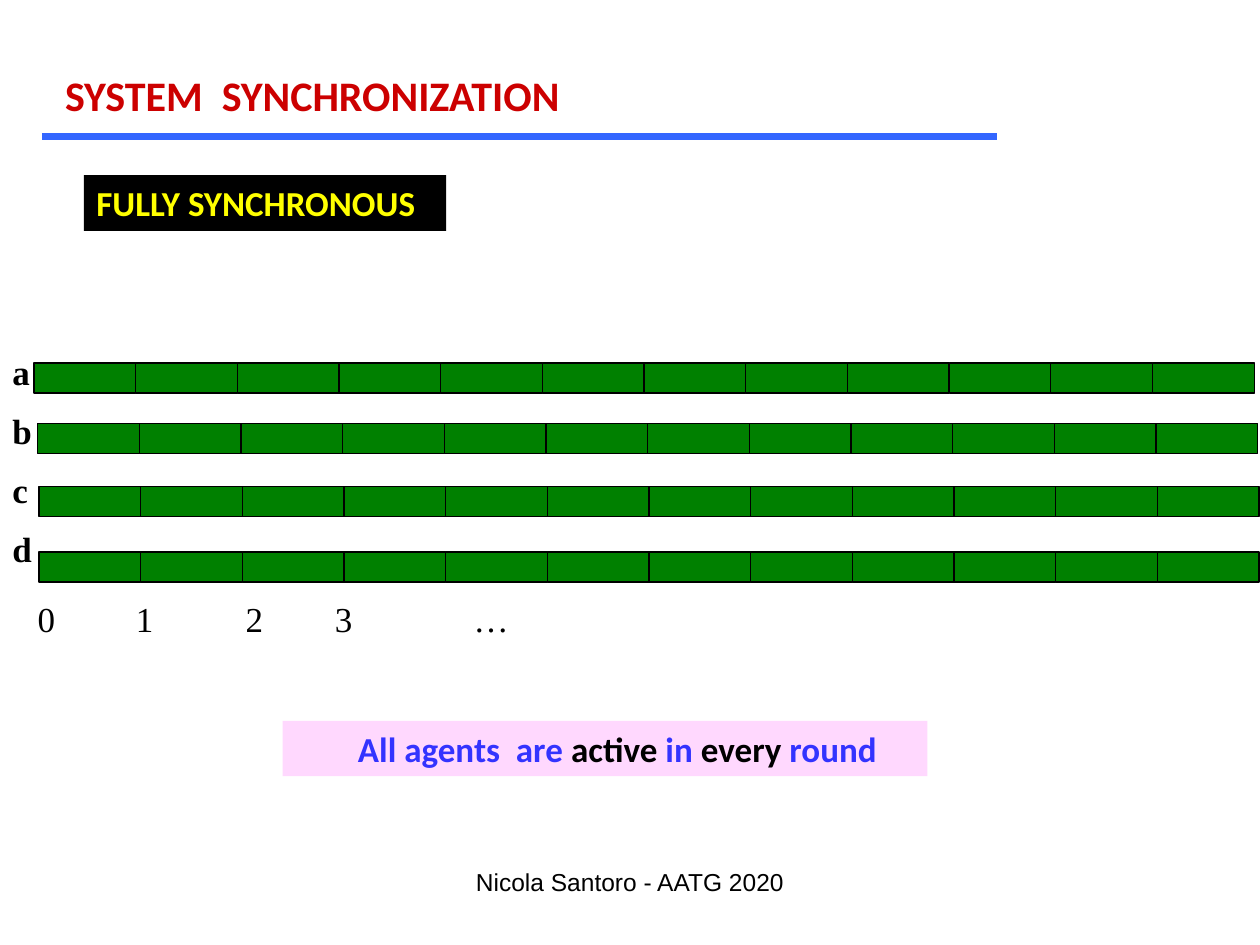
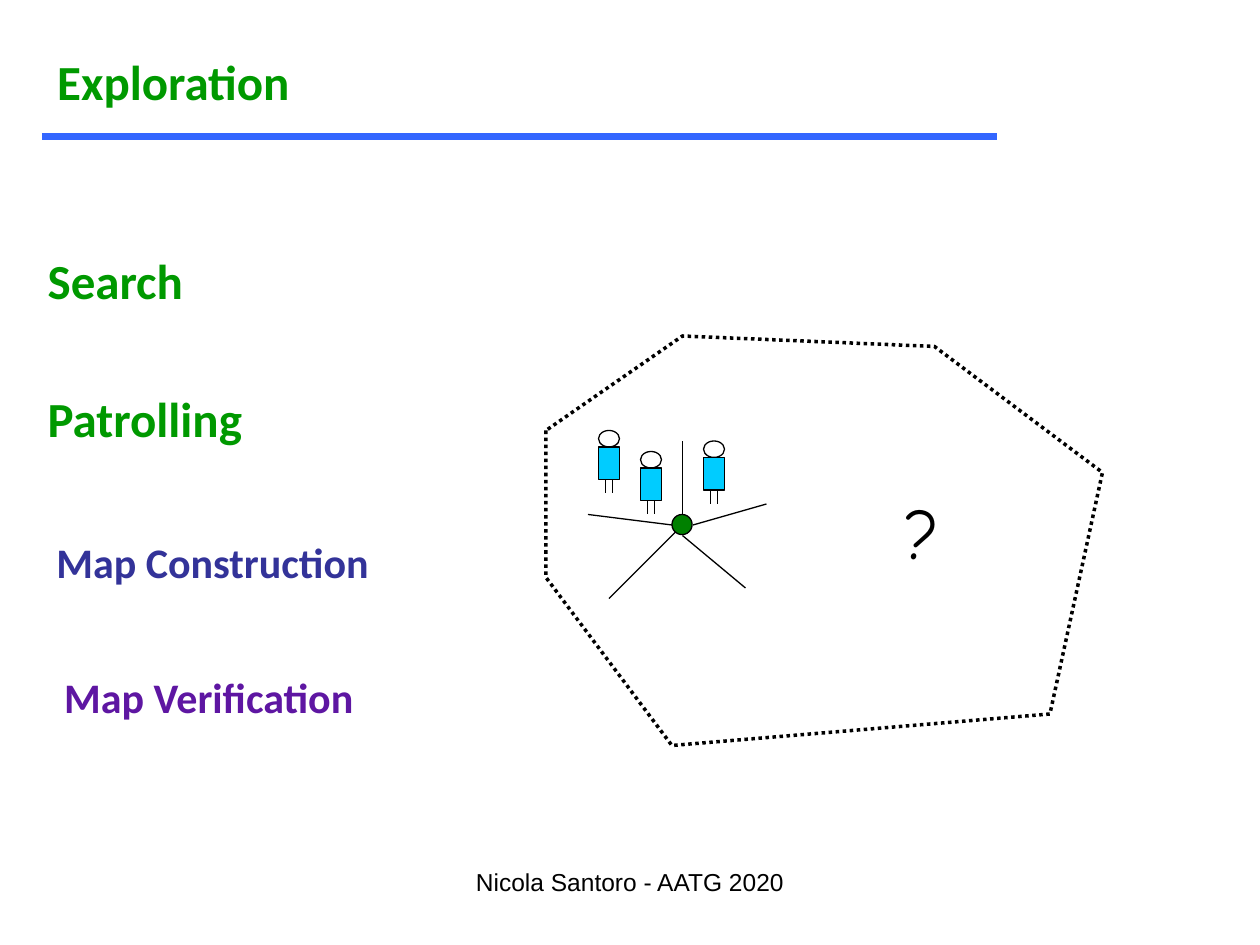
import collections
import dataclasses

import lxml.etree
import pptx
import pptx.dml.color
import pptx.enum.dml
import pptx.enum.shapes
import pptx.enum.text
import pptx.oxml.ns
import pptx.util

Pt = pptx.util.Pt
Kind = pptx.enum.shapes.MSO_SHAPE
Align = pptx.enum.text.PP_ALIGN
Anchor = pptx.enum.text.MSO_ANCHOR

Box = collections.namedtuple("Box", "x y w h")
Run = collections.namedtuple("Run", "text ink")


@dataclasses.dataclass(frozen=True)
class Theme:
    black: str = "000000"
    blue: str = "3366FF"
    red: str = "CC0000"
    leaf: str = "009900"
    green: str = "008000"
    yellow: str = "FFFF00"
    pink: str = "FFD8FE"
    violet: str = "3333FF"
    navy: str = "333399"
    purple: str = "5E16A2"
    cyan: str = "00CCFF"
    sans: str = "Calibri"
    serif: str = "Times New Roman"
    plain: str = "Arial"
    comic: str = "Comic Neue"
    huge: int = 40
    large: int = 28
    head: int = 24
    text: int = 20
    small: int = 14
    thin: float = 0.75
    dots: float = 2
    rule: float = 4


LOOK = Theme()


def tint(code):
    return pptx.dml.color.RGBColor.from_string(code)


def place(shape, box):
    shape.left, shape.top, shape.width, shape.height = map(Pt, box)


def setup(frame, anchor=Anchor.TOP):
    frame.word_wrap = True
    frame.auto_size = pptx.enum.text.MSO_AUTO_SIZE.NONE
    frame.vertical_anchor = anchor


def write(para, runs, size, font=LOOK.sans, bold=False, align=Align.LEFT):
    para.alignment = align
    for text, ink in runs:
        run = para.add_run()
        run.text = text
        run.font.size = Pt(size)
        run.font.name = font
        run.font.bold = bold
        run.font.color.rgb = tint(ink)


def label(slide, box, text, size, font, bold=False, align=Align.LEFT):
    frame = slide.shapes.add_textbox(*map(Pt, box)).text_frame
    setup(frame)
    write(frame.paragraphs[0], [Run(text, LOOK.black)], size, font, bold, align)


def paint(shape, fill=None, edge=None, width=LOOK.thin):
    shape.shadow.inherit = False
    if fill:
        shape.fill.solid()
        shape.fill.fore_color.rgb = tint(fill)
    else:
        shape.fill.background()
    if edge:
        shape.line.color.rgb = tint(edge)
        shape.line.width = Pt(width)
    else:
        shape.line.fill.background()
    return shape


def block(slide, kind, box, fill=None, edge=None):
    return paint(slide.shapes.add_shape(kind, *map(Pt, box)), fill, edge)


def stroke(slide, start, end, ink=LOOK.black, width=LOOK.thin):
    line = slide.shapes.add_connector(
        pptx.enum.shapes.MSO_CONNECTOR.STRAIGHT, *map(Pt, (*start, *end)))
    line.line.color.rgb = tint(ink)
    line.line.width = Pt(width)
    props = line._element.spPr
    lxml.etree.SubElement(props, pptx.oxml.ns.qn("a:effectLst"))


def banner(slide, box, runs, fill, anchor=Anchor.TOP, indent=0):
    frame = block(slide, Kind.RECTANGLE, box, fill).text_frame
    setup(frame, anchor)
    para = frame.paragraphs[0]
    para._p.get_or_add_pPr().set("marL", str(Pt(indent)))
    write(para, runs, LOOK.text, bold=True)


def start(deck, layout, box, title, ink, size):
    slide = deck.slides.add_slide(deck.slide_layouts[layout])
    place(slide.shapes.title, box)
    frame = slide.shapes.title.text_frame
    setup(frame)
    write(frame.paragraphs[0], [Run(title, ink)], size, bold=True)
    stroke(slide, (24, 78), (570, 78), LOOK.blue, LOOK.rule)
    label(slide, Box(246, 492, 228, 36), "Nicola Santoro - AATG 2020",
          LOOK.small, LOOK.plain, align=Align.CENTER)
    return slide


def lanes(slide, box):
    count = 12
    step, high = 58.1, 17.3
    rows = [("a", 19.5, 10.8), ("b", 21.5, 45.3),
            ("c", 22.3, 81.3), ("d", 22.3, 118.8)]
    for row, (name, left, top) in enumerate(rows):
        for col in range(count):
            cell = Box(box.x + left + col * step, box.y + top, step, high)
            block(slide, Kind.RECTANGLE, cell, LOOK.green, LOOK.black)
        label(slide, Box(box.x, box.y + row * 33.84, 32, 32),
              name, LOOK.text, LOOK.serif, True)


def ticks(slide, box):
    marks = {"0": 0, "1": 56.2, "2": 118.8, "3": 169.9, "…": 249.1}
    for text, left in marks.items():
        label(slide, Box(box.x + left, box.y, 40, box.h),
              text, LOOK.text, LOOK.serif)


def topics(slide, box):
    items = [("Search", LOOK.leaf, LOOK.large, 0, 0),
             ("Patrolling", LOOK.leaf, LOOK.large, 0, 45),
             ("Map Construction", LOOK.navy, LOOK.head, 5, 50.8),
             ("Map Verification", LOOK.purple, LOOK.head, 9.5, 48.5)]
    body = slide.placeholders[1]
    place(body, box)
    frame = body.text_frame
    setup(frame)
    for num, (text, ink, size, indent, gap) in enumerate(items):
        para = frame.add_paragraph() if num else frame.paragraphs[0]
        props = para._p.get_or_add_pPr()
        props.set("marL", str(Pt(indent)))
        props.set("indent", "0")
        lxml.etree.SubElement(props, pptx.oxml.ns.qn("a:buNone"))
        para.space_before = Pt(gap)
        write(para, [Run(text, ink)], size, bold=True)


def agent(slide, box):
    head, waist = 9.4, 28.1
    block(slide, Kind.OVAL, Box(box.x, box.y, box.w, head), edge=LOOK.black)
    block(slide, Kind.RECTANGLE,
          Box(box.x, box.y + head, box.w, waist - head), LOOK.cyan, LOOK.black)
    for part in (1, 2):
        leg = box.x + part * box.w / 3
        stroke(slide, (leg, box.y + waist), (leg, box.y + box.h))


def region(slide, box):
    def at(x, y):
        return box.x + x, box.y + y

    spokes = [((78, 108), (36, 150)), ((84, 108), (126, 96)),
              ((78, 114), (114, 144)), ((78, 102), (78, 60)),
              ((72, 108), (24, 102))]
    for near, far in spokes:
        stroke(slide, at(*near), at(*far))
    block(slide, Kind.OVAL, Box(*at(72, 102), 11.5, 11.5),
          LOOK.green, LOOK.black)
    for spot in [(54, 66), (90, 60), (30, 54)]:
        agent(slide, Box(*at(*spot), 12, 36))

    bounds = [(0, 54), (0, 138), (72, 234), (288, 216),
              (318, 78), (222, 6), (78, 0)]
    first, *rest = [at(*point) for point in bounds]
    path = slide.shapes.build_freeform(*first, scale=Pt(1))
    path.add_line_segments(rest, close=True)
    edge = paint(path.convert_to_shape(), edge=LOOK.black, width=LOOK.dots)
    edge.line.dash_style = pptx.enum.dml.MSO_LINE.ROUND_DOT
    label(slide, Box(*at(198, 84), 66, 55), "?", LOOK.huge, LOOK.comic)


def timing(deck):
    slide = start(deck, 5, Box(30, 36, 302, 36), "SYSTEM  SYNCHRONIZATION",
                  LOOK.red, LOOK.head)
    banner(slide, Box(48, 100, 207, 32),
           [Run("FULLY SYNCHRONOUS", LOOK.yellow)], LOOK.black)
    lanes(slide, Box(0, 196.6, 720, 136))
    ticks(slide, Box(14.4, 337.7, 290, 32))
    banner(slide, Box(161.5, 412, 368.5, 31.5),
           [Run("All agents  are ", LOOK.violet), Run("active", LOOK.black),
            Run(" in ", LOOK.violet), Run("every", LOOK.black),
            Run(" round", LOOK.violet)], LOOK.pink, Anchor.MIDDLE, 36)


def explore(deck):
    slide = start(deck, 1, Box(25.5, 26, 150, 41), "Exploration",
                  LOOK.leaf, LOOK.large)
    topics(slide, Box(20, 139.7, 220, 280))
    region(slide, Box(312, 192, 318, 234))


def main():
    deck = pptx.Presentation()
    deck.slide_width, deck.slide_height = Pt(720), Pt(540)
    timing(deck)
    explore(deck)
    deck.save("out.pptx")


if __name__ == "__main__":
    main()
